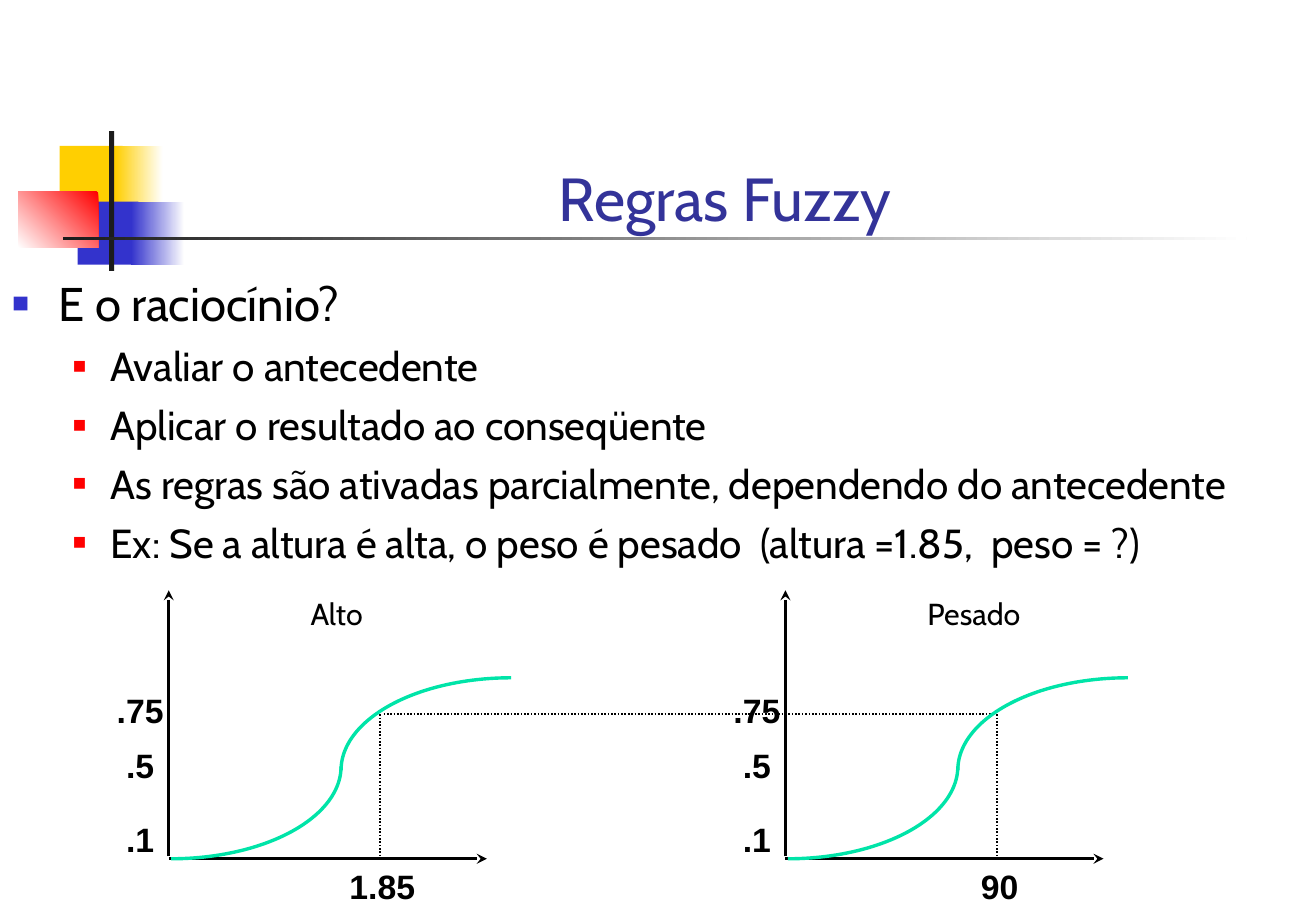
from lxml.etree import SubElement
from pptx import Presentation
from pptx.dml.color import RGBColor
from pptx.enum.dml import MSO_LINE
from pptx.enum.shapes import MSO_CONNECTOR, MSO_SHAPE
from pptx.enum.text import MSO_ANCHOR, MSO_AUTO_SIZE, PP_ALIGN
from pptx.oxml.ns import qn
from pptx.util import Pt

PX = 9144  # 100 px to the inch
COLOURS = {
    "yellow": "FFCF01", "blue": "3333CC", "red": "FF0000", "ink": "1C1C1C",
    "white": "FFFFFF", "title": "333399", "black": "000000", "curve": "00E4A8",
}
BULLETS = [
    (0, "E o raciocínio?"),
    (1, "Avaliar o antecedente"),
    (1, "Aplicar o resultado ao conseqüente"),
    (1, "As regras são ativadas parcialmente, dependendo do antecedente"),
    (1, "Ex: Se a altura é alta, o peso é pesado  (altura =1.85,  peso = ?)"),
]
LEVELS = [
    dict(size=28, margin=38, indent=-38, before=0, bullet="blue", percent=60),
    dict(size=24, margin=81, indent=-31, before=6, bullet="red", percent=55),
]
# left, top, width, height, colour, gradient angle (None is solid)
ORNAMENT = [
    (49, 120, 52, 52, "yellow", None),
    (95, 120, 39, 52, "yellow", 0),
    (64, 166, 50, 52, "blue", None),
    (108, 166, 44, 52, "blue", 0),
    (15, 158, 66, 46, "red", 225),
    (90, 108, 4, 115, "ink", None),
    (52, 195, 975, 3, "ink", 0),
]
GRAPHS = [
    dict(origin=(139, 707), name="Alto", name_width=66, value="1.85", value_width=74),
    dict(origin=(647, 707), name="Pesado", name_width=105, value="90", value_width=51),
]
# label, centre and top relative to the origin, width
TICKS = [(".75", -24, -134, 59), (".5", -24, -88, 43), (".1", -24, -27, 43)]


def rgb(name):
    return RGBColor.from_string(COLOURS[name])


def scaled(*lengths):
    return [length * PX for length in lengths]


def set_font(font, size, colour="black", name="Cabin", bold=False):
    for key, value in dict(size=Pt(size), name=name, bold=bold).items():
        setattr(font, key, value)
    font.color.rgb = rgb(colour)


def set_frame(frame, **settings):
    for key, value in settings.items():
        setattr(frame, key, value)


def move(shape, *box):
    for key, value in zip(("left", "top", "width", "height"), scaled(*box)):
        setattr(shape, key, value)


def draw_ornament(slide):
    for *box, colour, angle in ORNAMENT:
        block = slide.shapes.add_shape(MSO_SHAPE.RECTANGLE, *scaled(*box))
        block.shadow.inherit = False
        block.line.fill.background()
        if angle is None:
            block.fill.solid()
            block.fill.fore_color.rgb = rgb(colour)
            continue
        block.fill.gradient()
        block.fill.gradient_angle = angle
        for stop, name in zip(block.fill.gradient_stops, (colour, "white")):
            stop.color.rgb = rgb(name)


def write_title(title, box):
    move(title, *box)
    frame = title.text_frame
    frame.text = "Regras Fuzzy"
    set_frame(frame, vertical_anchor=MSO_ANCHOR.BOTTOM, auto_size=MSO_AUTO_SIZE.NONE)
    para = frame.paragraphs[0]
    para.alignment = PP_ALIGN.CENTER
    set_font(para.font, 36, "title")


def add_bullet(para, style):
    props = para._p.get_or_add_pPr()
    props.set("marL", str(style["margin"] * PX))
    props.set("indent", str(style["indent"] * PX))
    colour = SubElement(props, qn("a:buClr"))
    SubElement(colour, qn("a:srgbClr"), val=COLOURS[style["bullet"]])
    SubElement(props, qn("a:buSzPct"), val=str(style["percent"] * 1000))
    SubElement(props, qn("a:buFont"), typeface="Arial")
    SubElement(props, qn("a:buChar"), char="■")


def write_body(body, box):
    move(body, *box)
    frame = body.text_frame
    set_frame(frame, vertical_anchor=MSO_ANCHOR.TOP, auto_size=MSO_AUTO_SIZE.NONE)
    for index, (level, text) in enumerate(BULLETS):
        para = frame.add_paragraph() if index else frame.paragraphs[0]
        style = LEVELS[level]
        para.text = text
        para.level = level
        add_bullet(para, style)
        para.space_before = Pt(style["before"])
        set_font(para.font, style["size"])


def draw_line(shapes, start, end, width, dotted=False, arrow=False):
    line = shapes.add_connector(MSO_CONNECTOR.STRAIGHT, *scaled(*start, *end))
    line.line.width = Pt(width)
    line.line.color.rgb = rgb("black")
    if dotted:
        line.line.dash_style = MSO_LINE.ROUND_DOT
    if arrow:
        SubElement(line.line._get_or_add_ln(), qn("a:tailEnd"), type="stealth")
    SubElement(line._element.spPr, qn("a:effectLst"))


def draw_quarter(shapes, box, first, last):
    """Draw the arc of the ellipse in box between two clockwise angles."""
    arc = shapes.add_shape(MSO_SHAPE.ARC, *scaled(*box))
    for index, degrees in enumerate((first, last)):
        arc.adjustments[index] = degrees * 0.6
    arc.shadow.inherit = False
    arc.fill.background()
    arc.line.width = Pt(2)
    arc.line.color.rgb = rgb("curve")


def write_label(shapes, text, box):
    label = shapes.add_textbox(*scaled(*box))
    set_frame(label.text_frame, word_wrap=False, auto_size=MSO_AUTO_SIZE.SHAPE_TO_FIT_TEXT)
    para = label.text_frame.paragraphs[0]
    para.text = text
    return para


def write_number(shapes, text, centre, top, width):
    para = write_label(shapes, text, (centre - width // 2, top, width, 32))
    para.alignment = PP_ALIGN.CENTER
    para.line_spacing = 0.65
    set_font(para.font, 20, name="Arial", bold=True)


def draw_graph(slide, origin, name, name_width, value, value_width):
    shapes = slide.shapes.add_group_shape().shapes
    x, y = origin
    draw_line(shapes, (x, y - 2), (x, y - 221), 2, arrow=True)
    draw_line(shapes, (x, y), (x + 262, y), 2, arrow=True)
    write_number(shapes, value, x + 176, y + 11, value_width)
    for text, across, down, width in TICKS:
        write_number(shapes, text, x + across, y + down, width)
    draw_quarter(shapes, (x - 138, y - 152, 280, 152), 0, 90)
    draw_quarter(shapes, (x + 142, y - 149, 280, 152), 180, 270)
    draw_line(shapes, (x + 174, y - 119), (x + 174, y - 1), 1, dotted=True)
    para = write_label(shapes, name, (x + 107, y - 222, name_width, 40))
    set_font(para.font, 18)


def build_slide(deck):
    slide = deck.slides.add_slide(deck.slide_layouts[1])
    title, body = slide.placeholders
    draw_ornament(slide)
    for holder in (title, body):  # text lies in front of the ornament
        slide.shapes.element.append(holder.element)
    write_title(title, (136, 37, 923, 160))
    write_body(body, (0, 221, 1083, 450))
    draw_line(slide.shapes, (316, 588), (817, 588), 1, dotted=True)
    for graph in GRAPHS:
        draw_graph(slide, **graph)


def main():
    deck = Presentation()
    deck.slide_width, deck.slide_height = scaled(1084, 750)
    build_slide(deck)
    deck.save("out.pptx")


if __name__ == "__main__":
    main()
